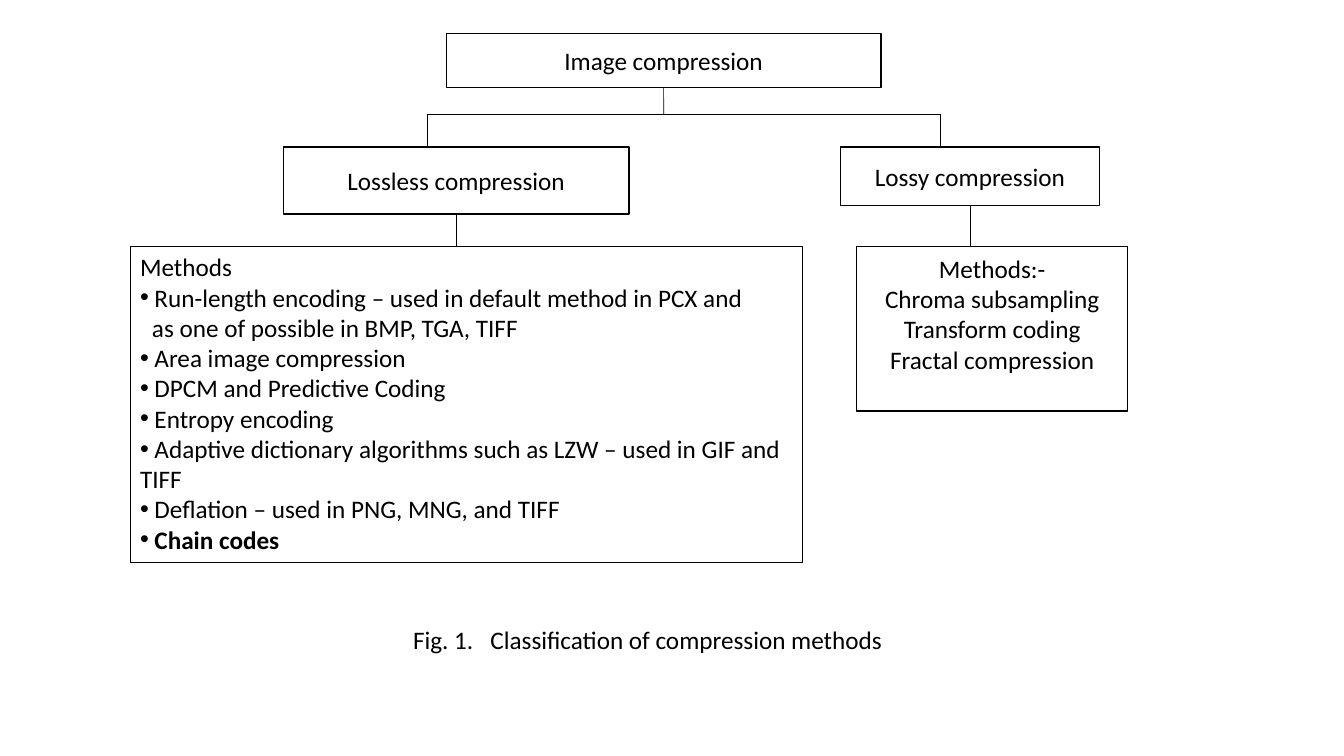
from pptx import Presentation
from pptx.dml.color import RGBColor as Rgb
from pptx.enum.shapes import MSO_CONNECTOR as Link, MSO_SHAPE as Kind
from pptx.enum.text import MSO_ANCHOR as Anchor, PP_ALIGN as Align
from pptx.oxml.ns import qn
from pptx.util import Cm, Pt
from lxml.etree import SubElement

INK = {"text": "000000", "line": "000000", "fill": "FFFFFF"}
FONT = {"name": "Calibri", "size": Pt(18)}

ROW, LIST, BAR = 3.71, 6.22, 2.87
BOXES = {
    "root": ((11.25, 0.84, 10.95, 1.37), ["Image compression"]),
    "lossy": ((21.18, ROW, 6.53, 1.47), ["Lossy compression"]),
    "lossless": ((7.14, ROW, 8.71, 1.68), ["Lossless compression"]),
    "ways": ((21.59, LIST, 6.83, 4.14), [
        "Methods:-", "Chroma subsampling", "Transform coding",
        "Fractal compression"]),
}
PLACE = (3.28, LIST, 16.94, 7.95)
METHODS = [
    ("Methods", ""),
    (" Run-length encoding – used in default method in PCX and", "dot"),
    ("as one of possible in BMP, TGA, TIFF", "more"),
    (" Area image compression", "dot"),
    (" DPCM and Predictive Coding", "dot"),
    (" Entropy encoding", "dot"),
    (" Adaptive dictionary algorithms such as LZW – used in GIF and TIFF", "dot"),
    (" Deflation – used in PNG, MNG, and TIFF", "dot"),
    (" Chain codes", "bold"),
]
CAPTION = ((10.16, 15.6, 18.28, 1.02),
           "Fig. 1.\tClassification of compression methods")
DROPS = (10.77, 23.7)


def style(part, vals):
    for key, val in vals.items():
        setattr(part, key, val)


def write(frame, lines, align, anchor):
    style(frame, {"word_wrap": True, "vertical_anchor": anchor})
    for num, line in enumerate(lines):
        para = frame.add_paragraph() if num else frame.paragraphs[0]
        para.alignment = align
        run = para.add_run()
        run.text = line
        style(run.font, FONT)
        run.font.color.rgb = Rgb.from_string(INK["text"])


def box(place, lines, align=Align.CENTER, anchor=Anchor.MIDDLE, width=1):
    rect = slide.shapes.add_shape(Kind.RECTANGLE, *map(Cm, place))
    rect.shadow.inherit = False
    rect.fill.solid()
    rect.fill.fore_color.rgb = Rgb.from_string(INK["fill"])
    rect.line.color.rgb = Rgb.from_string(INK["line"])
    rect.line.width = Pt(width)
    write(rect.text_frame, lines, align, anchor)
    return rect


def join(start, end, source=None):
    link = slide.shapes.add_connector(Link.STRAIGHT, *map(Cm, start + end))
    link.line.color.rgb = Rgb.from_string(INK["line"])
    link.line.width = Pt(0.5)
    SubElement(link._element.spPr, qn("a:effectLst"))
    if source:
        link.begin_connect(source, 2)


def foot(name):
    left, top, wide, high = BOXES[name][0]
    return left + wide / 2, top + high


def indent(para, left, first):
    props = para._p.get_or_add_pPr()
    props.set("marL", str(Cm(left)))
    props.set("indent", str(Cm(first)))
    return props


deck = Presentation()
style(deck, {"slide_width": Cm(33.87), "slide_height": Cm(19.05)})
slide = deck.slides.add_slide(deck.slide_layouts[6])

rects = {name: box(*item) for name, item in BOXES.items()}
rects["ways"].text_frame.margin_bottom = Cm(0.89)

group = box(PLACE, [line for line, _ in METHODS], Align.LEFT, Anchor.TOP, 0.75)
for para, (_, mark) in zip(group.text_frame.paragraphs, METHODS):
    props = indent(para, 0.3 if mark == "more" else 0, 0)
    if mark in ("dot", "bold"):
        SubElement(props, qn("a:buFont")).set("typeface", "Arial")
        SubElement(props, qn("a:buChar")).set("char", "•")
    if mark == "bold":
        para.runs[0].font.bold = True

for name, level in (("root", BAR), ("lossless", LIST), ("lossy", LIST)):
    mid, base = foot(name)
    join((mid, base), (mid, level), rects[name])
join((DROPS[0], BAR), (DROPS[1], BAR))
for drop in DROPS:
    join((drop, BAR), (drop, ROW))

place, line = CAPTION
label = slide.shapes.add_textbox(*map(Cm, place))
write(label.text_frame, [line], Align.LEFT, Anchor.MIDDLE)
indent(label.text_frame.paragraphs[0], 1.95, -1.95)

deck.save("out.pptx")
